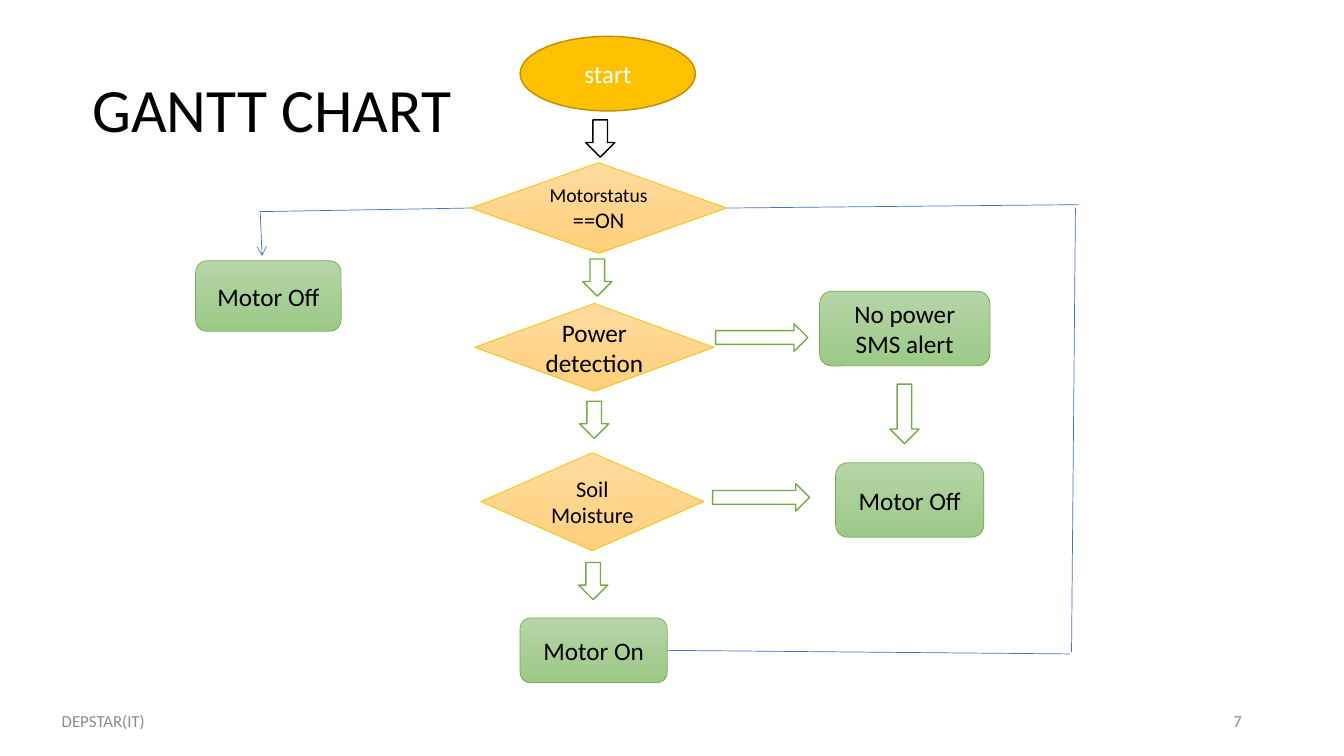
from dataclasses import dataclass

from lxml import etree
from pptx import Presentation
from pptx import util as u
from pptx.dml.color import RGBColor
from pptx.enum import shapes, text
from pptx.oxml.ns import qn

Kind = shapes.MSO_SHAPE
Align = text.PP_ALIGN
TOP, LEFT, BOTTOM, RIGHT = range(4)


@dataclass(frozen=True)
class Theme:
    font: str = "Calibri"
    ink: str = "000000"
    paper: str = "FFFFFF"
    muted: str = "8C8C8C"
    wire: str = "4472C4"
    gold: str = "FFC000"
    gold_edge: str = "BD8E00"
    green: str = "70AD47"
    decision_fill: tuple = ("FFDB9E", "FFD07C")
    step_fill: tuple = ("B5D5A7", "9CC987")
    title_size: int = 44
    body_size: int = 18
    medium_size: int = 16
    small_size: int = 14
    footer_size: int = 12
    thin: float = 0.5
    normal: float = 1


class Flowchart:
    def __init__(self, slide, theme):
        self.shapes = slide.shapes
        self.theme = theme

    def set_words(self, frame, runs, color, align=Align.CENTER):
        """Fill a text frame with one paragraph of (words, size) runs."""
        frame.word_wrap = True
        frame.vertical_anchor = text.MSO_ANCHOR.MIDDLE
        paragraph = frame.paragraphs[0]
        paragraph.alignment = align
        for words, size in runs:
            run = paragraph.add_run()
            run.text = words
            run.font.name = self.theme.font
            run.font.size = u.Pt(size)
            run.font.color.rgb = RGBColor.from_string(color)
        return paragraph

    def label(self, words, box, size, color, align):
        holder = self.shapes.add_textbox(*map(u.Pt, box))
        return self.set_words(holder.text_frame, [(words, size)], color, align)

    def block(self, kind, box, fill, edge, width):
        """Draw a preset shape; fill is one colour or a (top, bottom) pair."""
        block = self.shapes.add_shape(kind, *map(u.Pt, box))
        block.shadow.inherit = False
        block.line.color.rgb = RGBColor.from_string(edge)
        block.line.width = u.Pt(width)
        if isinstance(fill, tuple):
            block.fill.gradient()
            block.fill.gradient_angle = 270
            for stop, color in zip(block.fill.gradient_stops, fill):
                stop.color.rgb = RGBColor.from_string(color)
        else:
            block.fill.solid()
            block.fill.fore_color.rgb = RGBColor.from_string(fill)
        return block

    def terminal(self, words, box):
        t = self.theme
        oval = self.block(Kind.OVAL, box, t.gold, t.gold_edge, t.normal)
        self.set_words(oval.text_frame, [(words, t.body_size)], t.paper)

    def decision(self, runs, box):
        t = self.theme
        diamond = self.block(Kind.FLOWCHART_DECISION, box, t.decision_fill, t.gold, t.thin)
        self.set_words(diamond.text_frame, runs, t.ink)
        return diamond

    def step(self, words, box, kind=Kind.ROUNDED_RECTANGLE):
        t = self.theme
        step = self.block(kind, box, t.step_fill, t.green, t.thin)
        self.set_words(step.text_frame, [(words, t.body_size)], t.ink)
        return step

    def block_arrow(self, kind, box, edge):
        self.block(kind, box, self.theme.paper, edge, self.theme.normal)

    def wire(self, start, end, arrow=False):
        """Draw a line; start is a point or a (shape, side) pair."""
        joined = not isinstance(start[0], (int, float))
        first = end if joined else start
        wire = self.shapes.add_connector(shapes.MSO_CONNECTOR.STRAIGHT, *map(u.Pt, first + end))
        if joined:
            wire.begin_connect(*start)
        wire.line.color.rgb = RGBColor.from_string(self.theme.wire)
        wire.line.width = u.Pt(self.theme.thin)
        properties = wire._element.spPr
        if arrow:
            etree.SubElement(properties.find(qn("a:ln")), qn("a:tailEnd"), type="arrow")
        etree.SubElement(properties, qn("a:effectLst"))


def main():
    theme = Theme()
    deck = Presentation()
    deck.slide_width, deck.slide_height = u.Pt(960), u.Pt(540)
    chart = Flowchart(deck.slides.add_slide(deck.slide_layouts[6]), theme)

    title = chart.label("GANTT CHART", (59, 28.1, 828, 104.4),
                        theme.title_size, theme.ink, Align.LEFT)
    title.line_spacing = 0.9

    chart.terminal("start", (371.5, 26, 125.3, 53.3))
    motor_status = chart.decision(
        [("Motorstatus", theme.small_size), ("==ON", theme.medium_size)],
        (336.2, 116.2, 182.9, 64.8))
    chart.decision([("Power detection", theme.body_size)], (339.1, 216.7, 170.9, 62.8))
    chart.decision([("Soil Moisture", theme.medium_size)], (343.4, 323.3, 159.4, 70))

    chart.step("Motor Off", (139.7, 186.3, 104, 50.4), Kind.FLOWCHART_ALTERNATE_PROCESS)
    chart.step("No power SMS alert", (585.4, 208.1, 121.7, 53.3))
    chart.step("Motor Off", (596.9, 330.5, 105.8, 53.3))
    motor_on = chart.step("Motor On", (371.5, 441.4, 105.1, 46.3))

    chart.wire((motor_status, LEFT), (185, 151.2))
    chart.wire((185.9, 151.9), (187.2, 182.9), arrow=True)
    chart.wire((motor_status, RIGHT), (770.4, 146.2))
    chart.wire((768.2, 148.3), (765.4, 465.8))
    chart.wire((motor_on, RIGHT), (764.2, 467.1))

    for left, top, height, edge in [
        (418.3, 85.7, 26.6, theme.ink),
        (416.2, 185, 26.6, theme.green),
        (414, 286.6, 26.6, theme.green),
        (413.3, 401.8, 26.6, theme.green),
        (635.6, 274.4, 42.5, theme.green),
    ]:
        chart.block_arrow(Kind.DOWN_ARROW, (left, top, 20.9, height), edge)
    for left, top, width in [(511.2, 231.3, 65.8), (509, 345.5, 69.2)]:
        chart.block_arrow(Kind.RIGHT_ARROW, (left, top, width, 19.6), theme.green)

    for words, left, width, align in [
        ("DEPSTAR(IT)", 0, 147.6, Align.CENTER),
        ("7", 678.2, 216, Align.RIGHT),
    ]:
        chart.label(words, (left, 500.4, width, 28.8), theme.footer_size, theme.muted, align)

    deck.save("out.pptx")


if __name__ == "__main__":
    main()
